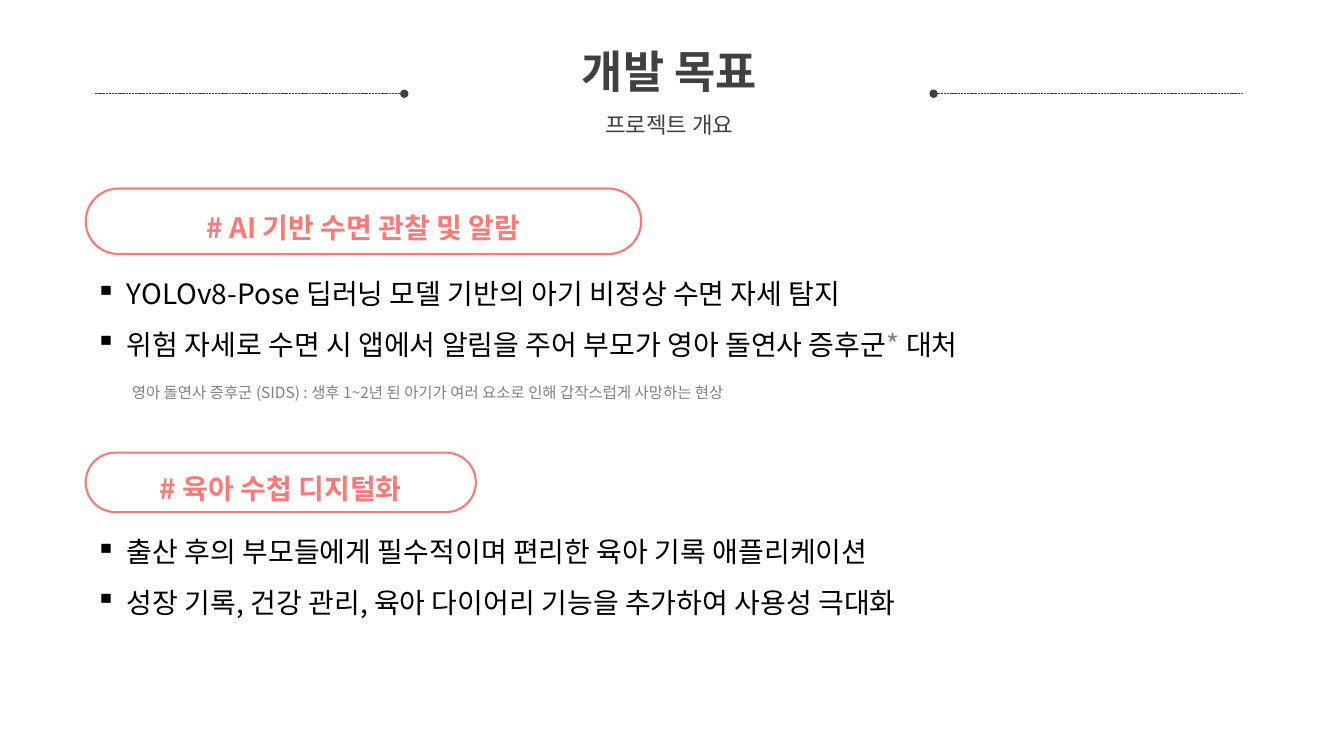
"""Build the project goals slide with two tagged bullet sections."""
from lxml import etree
from pptx import Presentation
from pptx.dml.color import RGBColor
from pptx.enum.dml import MSO_LINE
from pptx.enum.shapes import MSO_CONNECTOR, MSO_SHAPE
from pptx.enum.text import MSO_ANCHOR, PP_ALIGN
from pptx.oxml.ns import qn
from pptx.util import Pt

PX = 9144
WIDE, HIGH = 1333, 750
FONT = "Noto Sans CJK KR"
DARK = RGBColor(0x40, 0x40, 0x40)
BLACK = RGBColor(0, 0, 0)
GRAY = RGBColor(0x80, 0x80, 0x80)
PINK = RGBColor(0xFF, 0x78, 0x76)
LEFT, CENTER = PP_ALIGN.LEFT, PP_ALIGN.CENTER
MIDDLE = MSO_ANCHOR.MIDDLE
PILL = MSO_SHAPE.ROUNDED_RECTANGLE
STRAIGHT = MSO_CONNECTOR.STRAIGHT
DASH = MSO_LINE.SQUARE_DOT

EDGE, BODY = 85, 1147
INDENT = 31
RULE_Y = 93
RULES = [(94, 401), (1233, 926)]

HEAD = [
    [("개발 목표", 32, DARK, True)],
    [("프로젝트 개요", 16, DARK, False)],
]
NOTE = [[(
    "영아 돌연사 증후군 (SIDS) : 생후 1~2년 된 아기가 여러 요소로 인해 갑작스럽게 사망하는 현상",
    11, GRAY, False,
)]]
PARTS = [
    {
        "tag": "# AI 기반 수면 관찰 및 알람",
        "top": 187, "width": 551, "height": 65,
        "points": [
            [("YOLOv8-Pose 딥러닝 모델 기반의 아기 비정상 수면 자세 탐지", BLACK)],
            [
                ("위험 자세로 수면 시 앱에서 알림을 주어 부모가 영아 돌연사 증후군", BLACK),
                ("*", GRAY),
                (" 대처", BLACK),
            ],
        ],
    },
    {
        "tag": "# 육아 수첩 디지털화",
        "top": 449, "width": 387, "height": 59,
        "points": [
            [("출산 후의 부모들에게 필수적이며 편리한 육아 기록 애플리케이션", BLACK)],
            [("성장 기록, 건강 관리, 육아 다이어리 기능을 추가하여 사용성 극대화", BLACK)],
        ],
    },
]


def scale(*sizes):
    return [size * PX for size in sizes]


def write(frame, rows, align=LEFT, bullet=False):
    frame.word_wrap = True
    for i, row in enumerate(rows):
        para = frame.paragraphs[0] if i == 0 else frame.add_paragraph()
        para.alignment = align
        para.line_spacing = 1.5
        if bullet:
            props = para._p.get_or_add_pPr()
            props.set("marL", str(INDENT * PX))
            props.set("indent", str(-INDENT * PX))
            etree.SubElement(props, qn("a:buChar")).set("char", "▪")
        for text, size, color, bold in row:
            run = para.add_run()
            run.text = text
            font = run.font
            font.name, font.size, font.bold = FONT, Pt(size), bold
            font.color.rgb = color
            east = etree.SubElement(run._r.get_or_add_rPr(), qn("a:ea"))
            east.set("typeface", FONT)


def add_text(slide, box, rows, align=LEFT, bullet=False):
    write(slide.shapes.add_textbox(*scale(*box)).text_frame, rows, align, bullet)


def add_rule(slide, start, end):
    rule = slide.shapes.add_connector(STRAIGHT, *scale(start, RULE_Y, end, RULE_Y))
    rule.line.color.rgb = DARK
    rule.line.width = Pt(0.5)
    rule.line.dash_style = DASH
    tail = etree.SubElement(rule.line._get_or_add_ln(), qn("a:tailEnd"))
    tail.set("type", "oval")
    etree.SubElement(rule._element.spPr, qn("a:effectLst"))


def add_tag(slide, part):
    box = scale(EDGE, part["top"], part["width"], part["height"])
    pill = slide.shapes.add_shape(PILL, *box)
    pill.adjustments[0] = 0.5
    pill.shadow.inherit = False
    pill.fill.background()
    pill.line.color.rgb = PINK
    pill.line.width = Pt(1.5)
    frame = pill.text_frame
    frame.vertical_anchor = MIDDLE
    frame.margin_top, frame.margin_bottom = scale(0, 4)
    write(frame, [[(part["tag"], 20, PINK, True)]], CENTER)


def main():
    deck = Presentation()
    deck.slide_width, deck.slide_height = scale(WIDE, HIGH)
    slide = deck.slides.add_slide(deck.slide_layouts[6])
    add_text(slide, (406, 12, 516, 128), HEAD, CENTER)
    for start, end in RULES:
        add_rule(slide, start, end)
    for part in PARTS:
        rows = [[(text, 20, color, False) for text, color in row]
                for row in part["points"]]
        top = part["top"] + part["height"] + 1
        add_text(slide, (EDGE, top, BODY, 107), rows, bullet=True)
        add_tag(slide, part)
    add_text(slide, (121, 366, 660, 35), NOTE)
    deck.save("out.pptx")


if __name__ == "__main__":
    main()
